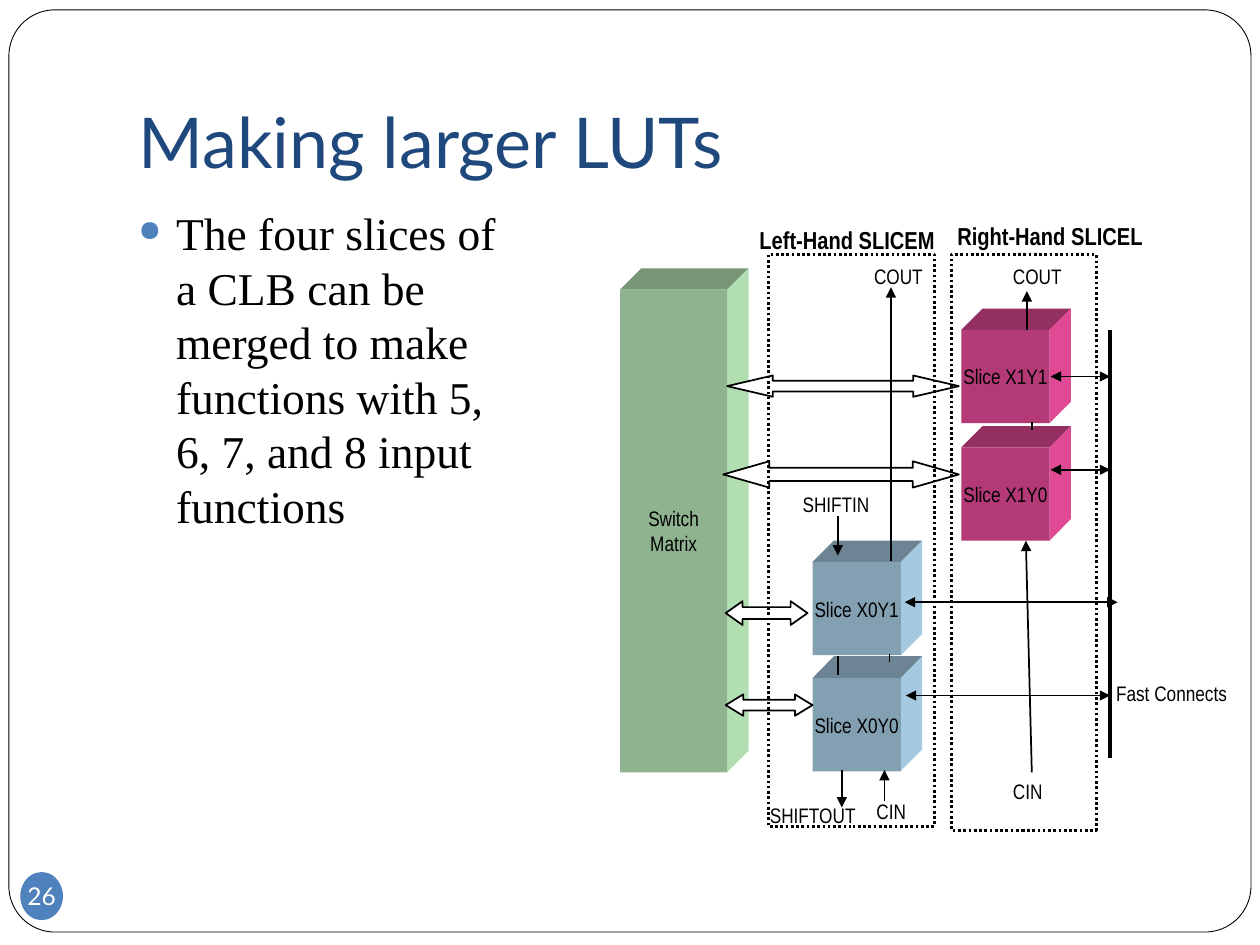
from lxml import etree
from pptx import Presentation
from pptx import util as u
from pptx.dml.color import RGBColor
from pptx.enum import dml, shapes, text
from pptx.oxml.ns import qn

HUES = {
    "ink": "000000", "title": "1F497D", "accent": "4F81BD", "white": "FFFFFF",
    "green": ("8FB28F", "769676", "B2DFB2"),  # front, top, side
    "blue": ("83A0B2", "6C8493", "A4C9E0"),
    "pink": ("B33A76", "933061", "E04994"),
}
NARROW = "Arial Narrow"
TITLE = "Making larger LUTs"
BODY = ("The four slices of a CLB can be merged to make functions "
        "with 5, 6, 7, and 8 input functions")

# Places are in inches: left, top, width, height
DEPTH = 0.17
BLOCKS = [
    ("Switch\nMatrix", "green", (4.92, 2.3, 0.85, 3.83)),
    ("Slice X0Y0", "blue", (6.45, 5.38, 0.7, 0.74)),
    ("Slice X0Y1", "blue", (6.45, 4.46, 0.7, 0.74)),
    ("Slice X1Y0", "pink", (7.63, 3.55, 0.7, 0.74)),
    ("Slice X1Y1", "pink", (7.63, 2.62, 0.7, 0.74)),
]
BUSES = [  # place, head length ratio
    ((5.76, 5.51, 0.69, 0.17), 0.82),
    ((5.76, 4.77, 0.65, 0.19), 0.71),
    ((5.74, 3.66, 1.87, 0.21), 1.75),
    ((5.77, 2.98, 1.84, 0.17), 2.14),
]
COLUMNS = [(6.1, 2.02, 1.32, 4.54), (7.55, 2.02, 1.15, 4.57)]
LABELS = [
    ("CIN", (6.86, 6.29, 0.44, 0.3)),
    ("COUT", (7.94, 2.04, 0.59, 0.3)),
    ("COUT", (6.84, 2.04, 0.59, 0.3)),
    ("Fast Connects", (8.76, 5.35, 1.08, 0.3)),
    ("CIN", (7.94, 6.13, 0.44, 0.3)),
    ("SHIFTIN", (6.27, 3.85, 0.73, 0.3)),
    ("SHIFTOUT", (6.01, 6.32, 0.89, 0.3)),
]
HEADS = [
    ("Left-Hand SLICEM", (5.93, 1.74, 1.59, 0.33)),
    ("Right-Hand SLICEL", (7.5, 1.71, 1.67, 0.33)),
]
RAIL = (8.81, 2.62, 8.81, 6.02)
WIRES = [  # x1, y1, x2, y2, arrowheads
    (7.07, 2.28, 7.07, 4.45, "head"),
    (7.02, 6.11, 7.02, 6.36, "head"),
    (8.14, 4.29, 8.19, 6.13, "head"),
    (8.15, 2.31, 8.15, 2.62, "head"),
    (7.18, 4.78, 8.87, 4.78, "head tail"),
    (7.19, 5.52, 8.81, 5.52, "head tail"),
    (8.34, 3.73, 8.81, 3.73, "head tail"),
    (8.34, 2.99, 8.81, 2.99, "head tail"),
    (6.68, 6.11, 6.68, 6.41, "tail"),
    (6.65, 4.1, 6.65, 4.41, "tail"),
    (8.19, 3.35, 8.19, 3.41, ""),
    (7.06, 5.19, 7.06, 5.25, ""),
    (6.65, 5.21, 6.65, 5.36, ""),
]


def cm(*vals):
    """Turn inches into Cm lengths."""
    return [u.Cm(round(v * 2.54, 2)) for v in vals]


def rgb(hue):
    return RGBColor.from_string(hue)


def write(shape, words, size, font=NARROW, hue=HUES["ink"], bold=False,
          align=None, wrap=False):
    frame = shape.text_frame
    frame.text = words
    frame.word_wrap = wrap
    for para in frame.paragraphs:
        para.alignment = align
        for run in para.runs:
            run.font.size, run.font.name = u.Pt(size), font
            run.font.bold = bold
            run.font.color.rgb = rgb(hue)
    return frame


def paint(shape, fill=None, width=0):
    shape.shadow.inherit = False
    if fill:
        shape.fill.solid()
        shape.fill.fore_color.rgb = rgb(fill)
    else:
        shape.fill.background()
    if width:
        shape.line.color.rgb = rgb(HUES["ink"])
        shape.line.width = u.Pt(width)
    else:
        shape.line.fill.background()
    return shape


def add(slide, kind, place, fill=None, width=0):
    return paint(slide.shapes.add_shape(kind, *cm(*place)), fill, width)


def label(slide, words, place, size, **style):
    box = slide.shapes.add_textbox(*cm(*place))
    frame = write(box, words, size, **style)
    frame.auto_size = text.MSO_AUTO_SIZE.SHAPE_TO_FIT_TEXT
    return frame


def face(slide, points, fill):
    spots = [cm(*point) for point in points]
    build = slide.shapes.build_freeform(*spots[0])
    build.add_line_segments(spots[1:], close=True)
    paint(build.convert_to_shape(), fill)


def block(slide, words, hue, place):
    """Draw a box with its top and right side receding by DEPTH."""
    x, y, w, h = place
    r, b, d = x + w, y + h, DEPTH
    front, top, side = HUES[hue]
    face(slide, [(x, y), (x + d, y - d), (r + d, y - d), (r, y)], top)
    face(slide, [(r, y), (r + d, y - d), (r + d, b - d), (r, b)], side)
    shape = add(slide, shapes.MSO_SHAPE.RECTANGLE, place, front)
    frame = write(shape, words, 12, align=text.PP_ALIGN.CENTER)
    frame.vertical_anchor = text.MSO_ANCHOR.MIDDLE


def wire(slide, ends, width=1, tips=""):
    line = slide.shapes.add_connector(shapes.MSO_CONNECTOR.STRAIGHT, *cm(*ends))
    line.line.color.rgb = rgb(HUES["ink"])
    line.line.width = u.Pt(width)
    for tip in tips.split():
        etree.SubElement(line.line._get_or_add_ln(), qn(f"a:{tip}End"),
                         type="triangle")
    etree.SubElement(line._element.spPr, qn("a:effectLst"))


def bullet(para):
    props = para._p.get_or_add_pPr()
    indent = u.Cm(0.76)
    props.set("marL", str(indent))
    props.set("indent", str(-indent))
    hue = etree.SubElement(props, qn("a:buClr"))
    etree.SubElement(hue, qn("a:srgbClr"), val=HUES["accent"])
    etree.SubElement(props, qn("a:buSzPct"), val="64000")
    etree.SubElement(props, qn("a:buChar"), char="●")


def page(slide):
    """Add the frame, title, page number and body text."""
    frame = add(slide, shapes.MSO_SHAPE.ROUNDED_RECTANGLE,
                (0.07, 0.08, 9.86, 7.32), width=0.5)
    frame.adjustments[0] = 0.05

    title = slide.shapes.title
    title.left, title.top, title.width, title.height = cm(1, 0.3, 8.5, 1.25)
    words = write(title, TITLE, 40, "Lato", HUES["title"],
                  align=text.PP_ALIGN.LEFT, wrap=True)
    words.vertical_anchor = text.MSO_ANCHOR.BOTTOM
    words.margin_bottom = u.Cm(0.25)

    badge = add(slide, shapes.MSO_SHAPE.OVAL, (0.16, 6.92, 0.34, 0.38),
                HUES["accent"])
    words = write(badge, "26", 14, "Lato", HUES["white"],
                  align=text.PP_ALIGN.CENTER)
    words.vertical_anchor = text.MSO_ANCHOR.MIDDLE
    words.margin_left = words.margin_right = 0
    words.margin_top = words.margin_bottom = 0

    body = slide.shapes.add_textbox(*cm(1, 1.58, 3.09, 5))
    words = write(body, BODY, 26, "Times New Roman", wrap=True)
    bullet(words.paragraphs[0])


def diagram(slide):
    for item in BLOCKS:
        block(slide, *item)
    for place, ratio in BUSES:
        bus = add(slide, shapes.MSO_SHAPE.LEFT_RIGHT_ARROW, place,
                  HUES["white"], 1)
        bus.adjustments[1] = ratio
    wire(slide, RAIL, 2.25)
    for *ends, tips in WIRES:
        wire(slide, ends, tips=tips)
    for place in COLUMNS:
        column = add(slide, shapes.MSO_SHAPE.RECTANGLE, place, width=1.5)
        column.line.dash_style = dml.MSO_LINE.ROUND_DOT
    for words, place in LABELS:
        label(slide, words, place, 12)
    for words, place in HEADS:
        head = label(slide, words, place, 14, bold=True,
                     align=text.PP_ALIGN.CENTER)
        head.margin_left = head.margin_right = 0


def main():
    deck = Presentation()
    deck.slide_width, deck.slide_height = cm(10, 7.5)
    slide = deck.slides.add_slide(deck.slide_layouts[5])
    page(slide)
    diagram(slide)
    deck.save("out.pptx")


if __name__ == "__main__":
    main()
